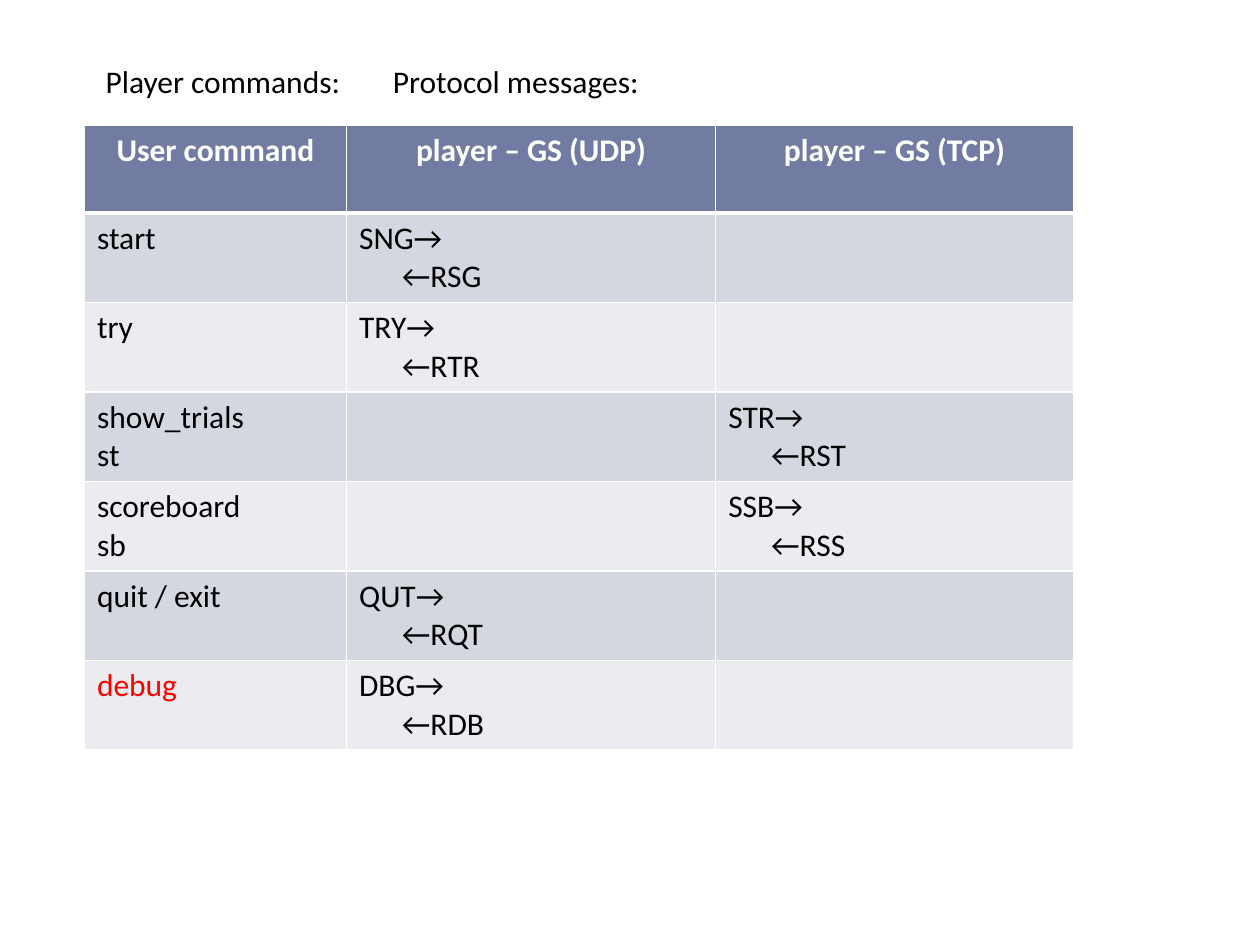
from lxml import etree
from pptx import Presentation
from pptx import util as u
from pptx.dml.color import RGBColor
from pptx.enum import text
from pptx.oxml import ns

WHITE = RGBColor(0xFF, 0xFF, 0xFF)
BLACK = RGBColor(0x00, 0x00, 0x00)
RED = RGBColor(0xFF, 0x00, 0x00)
HEADER_FILL = RGBColor(0x72, 0x7C, 0xA3)
BAND_FILLS = (RGBColor(0xD5, 0xD7, 0xE0), RGBColor(0xEB, 0xEC, 0xF0))

TABLE_LEFT, TABLE_TOP = 0.67, 0.99
COLUMN_WIDTHS = (2.08, 2.93, 2.84)
ROW_HEIGHT = 0.7
REPLY_INDENT = 0.34
MESSAGES_TAB = 2.28

HEADERS = ("User command", "player – GS (UDP)", "player – GS (TCP)")
UDP, TCP = 1, 2
COMMANDS = (
    ("start", UDP, "SNG", "RSG"),
    ("try", UDP, "TRY", "RTR"),
    ("show_trials\nst", TCP, "STR", "RST"),
    ("scoreboard\nsb", TCP, "SSB", "RSS"),
    ("quit / exit", UDP, "QUT", "RQT"),
    ("debug", UDP, "DBG", "RDB"),
)


def write(paragraph, words, color=BLACK, bold=False):
    paragraph.text = words
    for run in paragraph.runs:
        run.font.color.rgb = color
        style = {"name": "Calibri", "size": u.Pt(18), "bold": bold}
        for key, value in style.items():
            setattr(run.font, key, value)


def set_borders(cell, widths):
    """Draw white cell borders; widths in points, keyed by side in schema order."""
    properties = cell._tc.get_or_add_tcPr()
    for position, (side, width) in enumerate(widths.items()):
        line = etree.Element(ns.qn(f"a:ln{side}"), w=str(u.Pt(width)))
        fill = etree.SubElement(line, ns.qn("a:solidFill"))
        etree.SubElement(fill, ns.qn("a:srgbClr"), val=str(WHITE))
        properties.insert(position, line)


def format_cell(cell, row):
    cell.fill.solid()
    cell.fill.fore_color.rgb = BAND_FILLS[(row - 1) % 2] if row else HEADER_FILL
    set_borders(cell, {"L": 1, "R": 1,
                       "T": 3 if row == 1 else 1,
                       "B": 3 if row == 0 else 1})
    cell.text_frame.paragraphs[0].font.size = u.Pt(18)


def write_exchange(cell, request, reply):
    """Put the request first and the indented reply below it."""
    frame = cell.text_frame
    write(frame.paragraphs[0], f"{request}→")
    answer = frame.add_paragraph()
    write(answer, f"←{reply}")
    answer._p.get_or_add_pPr().set("marL", str(u.Inches(REPLY_INDENT)))


def add_heading(slide):
    box = slide.shapes.add_textbox(*map(u.Inches, (0.74, 0.44, 8.11, 0.4)))
    frame = box.text_frame
    frame.word_wrap = True
    heading = frame.paragraphs[0]
    write(heading, "Player commands:\tProtocol messages:")
    tabs = etree.SubElement(heading._p.get_or_add_pPr(), ns.qn("a:tabLst"))
    etree.SubElement(tabs, ns.qn("a:tab"), pos=str(u.Inches(MESSAGES_TAB)), algn="l")


def add_command_table(slide):
    row_count = len(COMMANDS) + 1
    table = slide.shapes.add_table(
        row_count, len(HEADERS),
        u.Inches(TABLE_LEFT), u.Inches(TABLE_TOP),
        u.Inches(sum(COLUMN_WIDTHS)), u.Inches(row_count * ROW_HEIGHT)).table
    for column, width in zip(table.columns, COLUMN_WIDTHS):
        column.width = u.Inches(width)
    for row in range(row_count):
        for column in range(len(HEADERS)):
            format_cell(table.cell(row, column), row)

    for column, header in enumerate(HEADERS):
        title = table.cell(0, column).text_frame.paragraphs[0]
        write(title, header, WHITE, bold=True)
        title.alignment = text.PP_ALIGN.CENTER
    for row, (command, protocol, request, reply) in enumerate(COMMANDS, 1):
        color = RED if command == "debug" else BLACK
        write(table.cell(row, 0).text_frame.paragraphs[0], command, color)
        write_exchange(table.cell(row, protocol), request, reply)


def main():
    deck = Presentation()
    deck.slide_width, deck.slide_height = u.Inches(10), u.Inches(7.5)
    slide = deck.slides.add_slide(deck.slide_layouts[6])
    add_command_table(slide)
    add_heading(slide)
    deck.save("out.pptx")


if __name__ == "__main__":
    main()
